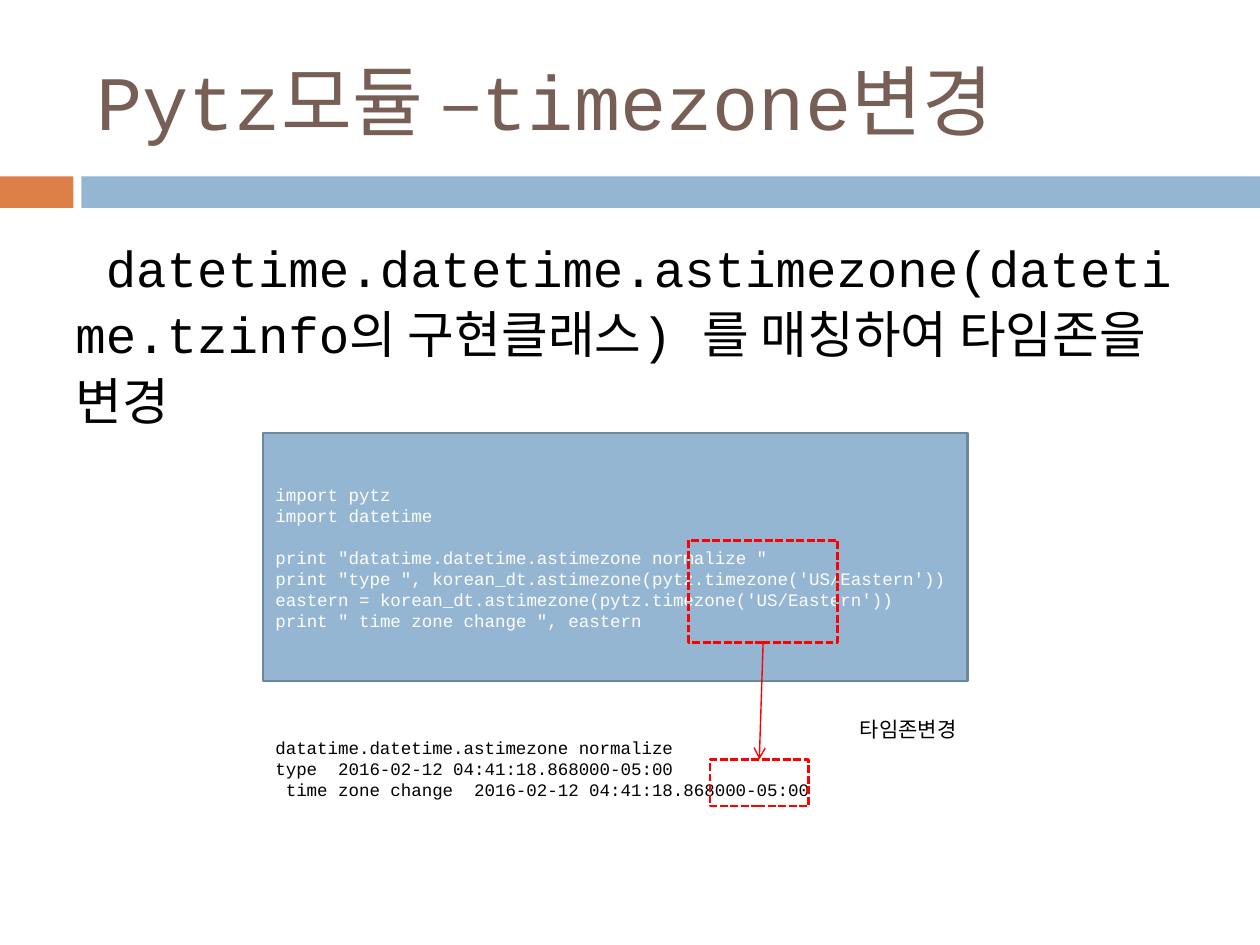
import lxml.etree
import pptx
import pptx.dml.color
import pptx.enum.dml
import pptx.enum.shapes
import pptx.enum.text
import pptx.oxml.ns
import pptx.util

Pt = pptx.util.Pt
qn = pptx.oxml.ns.qn
RECTANGLE = pptx.enum.shapes.MSO_SHAPE.RECTANGLE
ANCHOR = pptx.enum.text.MSO_ANCHOR
FONT = "Courier New"
BLUE, ORANGE, RED = "94B6D2", "DD8047", "FF0000"

CODE = """import pytz
import datetime

print "datatime.datetime.astimezone normalize "
print "type ", korean_dt.astimezone(pytz.timezone('US/Eastern'))
eastern = korean_dt.astimezone(pytz.timezone('US/Eastern'))
print " time zone change ", eastern"""
OUTPUT = """datatime.datetime.astimezone normalize
type  2016-02-12 04:41:18.868000-05:00
 time zone change  2016-02-12 04:41:18.868000-05:00"""


def rgb(value):
    return pptx.dml.color.RGBColor.from_string(value)


def points(box):
    return [Pt(length) for length in box]


def write(shape, text, size, color, anchor=ANCHOR.TOP, spacing=1.0):
    frame = shape.text_frame
    frame.word_wrap = True
    frame.vertical_anchor = anchor
    frame.text = text
    for paragraph in frame.paragraphs:
        paragraph.alignment = pptx.enum.text.PP_ALIGN.LEFT
        paragraph.line_spacing = spacing
        paragraph.font.size = Pt(size)
        for run in paragraph.runs:
            run.font.size = Pt(size)
            run.font.name = FONT
            run.font.color.rgb = rgb(color)


def add_text(slide, box, text, size, color, **layout):
    write(slide.shapes.add_textbox(*points(box)), text, size, color, **layout)


def add_rectangle(slide, box, fill=None, line=None):
    rectangle = slide.shapes.add_shape(RECTANGLE, *points(box))
    rectangle.shadow.inherit = False
    if fill:
        rectangle.fill.solid()
        rectangle.fill.fore_color.rgb = rgb(fill)
    else:
        rectangle.fill.background()
    if line:
        rectangle.line.color.rgb = rgb(line)
        rectangle.line.width = Pt(1.5)
    else:
        rectangle.line.fill.background()
    return rectangle


def add_highlight(slide, box):
    highlight = add_rectangle(slide, box, line=RED)
    highlight.line.dash_style = pptx.enum.dml.MSO_LINE.SQUARE_DOT
    return highlight


def add_arrow(slide, start, end):
    """Join the bottom of one rectangle to the top of another."""
    arrow = slide.shapes.add_connector(
        pptx.enum.shapes.MSO_CONNECTOR.STRAIGHT, 0, 0, 0, 0)
    arrow.begin_connect(start, 2)
    arrow.end_connect(end, 0)
    arrow.line.color.rgb = rgb(RED)
    arrow.line.width = Pt(0.79)
    head = lxml.etree.SubElement(arrow.line._get_or_add_ln(), qn("a:tailEnd"))
    head.set("type", "arrow")
    lxml.etree.SubElement(arrow._element.spPr, qn("a:effectLst"))


def add_header(slide, left, top, width, height):
    band_top, band_height, accent_width, gap = top + 100.8, 18, 42, 4.5
    band_left = left + accent_width + gap
    add_rectangle(slide, (left, band_top, accent_width, band_height), ORANGE)
    add_rectangle(slide, (band_left, band_top, left + width - band_left,
                          band_height), BLUE)
    add_text(slide, (left + 48, top + 18, 642, height - 40.8),
             "Pytz모듈 –timezone변경", 44, "775F55", anchor=ANCHOR.MIDDLE)


def add_description(slide, box):
    add_text(slide, box, "\N{NO-BREAK SPACE}datetime.datetime.astimezone("
             "datetime.tzinfo의 구현클래스) 를 매칭하여 타임존을 변경",
             29, "000000", spacing=1.1)


def add_example(slide, left, top, width, height):
    """Code panel, its printed output, and the marked time zone change."""
    code = add_rectangle(slide, (left, top, width, height), BLUE, "6D879B")
    write(code, CODE, 10, "FFFFFF", anchor=ANCHOR.MIDDLE)
    add_text(slide, (left, top + 170, 363, 44), OUTPUT, 10, "000000")
    timezone = add_highlight(slide, (left + 243.3, top + 61.2, 85, 58.3))
    offset = add_highlight(slide, (left + 255.5, top + 186.5, 56.2, 26.6))
    add_arrow(slide, timezone, offset)
    add_text(slide, (left + 334, top + 158.4, 79.2, 21.6), "타임존변경",
             12, "000000")


def main():
    presentation = pptx.Presentation()
    presentation.slide_width, presentation.slide_height = Pt(720), Pt(540)
    slide = presentation.slides.add_slide(presentation.slide_layouts[6])
    add_header(slide, 0, 0, 720, 118.8)
    add_description(slide, (36, 128, 648, 85))
    add_example(slide, 150.3, 247.5, 402.5, 141.8)
    presentation.save("out.pptx")


if __name__ == "__main__":
    main()
